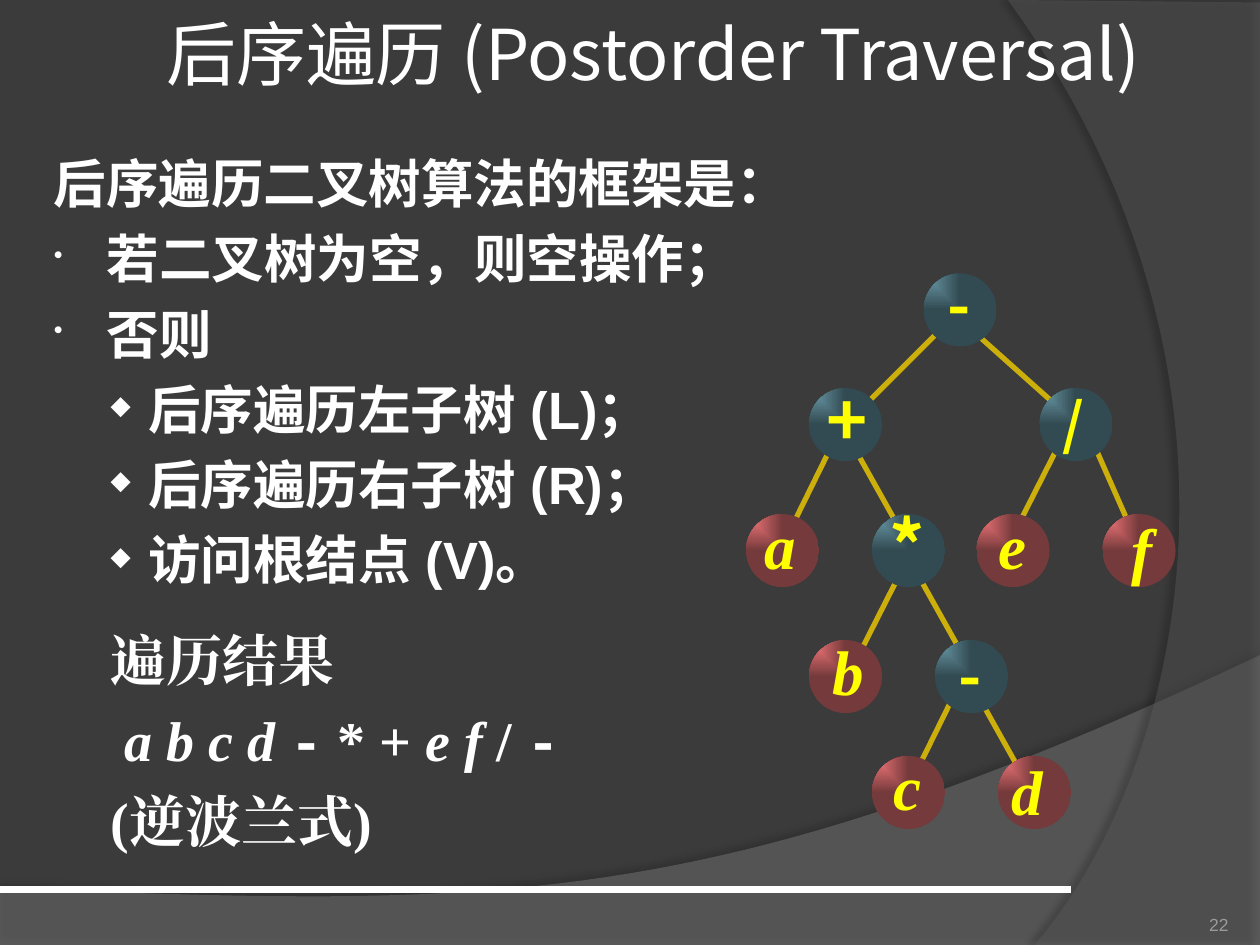
from dataclasses import dataclass

from lxml.etree import SubElement
from pptx import Presentation
from pptx.dml.color import RGBColor
from pptx.enum.shapes import MSO_CONNECTOR as Connector, MSO_SHAPE as Shape
from pptx.enum.text import MSO_ANCHOR as Anchor, PP_ALIGN as Align
from pptx.oxml.ns import qn
from pptx.util import Inches, Pt


@dataclass(frozen=True)
class Theme:
    """Colours, fonts and type sizes of the deck."""
    back: str = "3B3B3B"
    white: str = "FFFFFF"
    sweep: str = "7F7F7F"
    arc: str = "5E5E5E"
    number: str = "9D9B9A"
    edge: str = "CCAF0A"
    symbol: str = "FFFF00"
    operator: tuple = ("6EA0B0", "324A51")
    operand: tuple = ("FF7C80", "753A3B")
    sans: str = "Arial"
    serif: str = "Times New Roman"
    mono: str = "Courier New"
    heading: str = "Noto Sans CJK JP"
    sign: str = "Noto Sans CJK SC"
    title_size: int = 40
    body_size: int = 30
    result_size: int = 32
    number_size: int = 10


THEME = Theme()
FRAMEWORK = [
    ("后序遍历二叉树算法的框架是：", None),
    ("若二叉树为空，则空操作；", "•"),
    ("否则", "•"),
    ("后序遍历左子树 (L)；", "◆"),
    ("后序遍历右子树 (R)；", "◆"),
    ("访问根结点 (V)。", "◆"),
]
RESULT = [
    [("遍历结果", {})],
    [("a b c d ", {"italic": True}), ("-", {"font": THEME.mono}), (" * + ", {}),
     ("e f", {"italic": True}), (" / ", {}), ("-", {"font": THEME.mono})],
    [("(逆波兰式)", {})],
]
NODES = [
    ("-", 1.87, 0.46, -0.01, -0.05, 36),
    ("+", 0.96, 1.37, -0.02, -0.05, 40),
    ("/", 2.79, 1.37, -0.02, -0.02, 32),
    ("a", 0.46, 2.37, -0.02, -0.05, 36),
    ("*", 1.46, 2.37, -0.02, -0.05, 40),
    ("e", 2.29, 2.37, 0, -0.05, 36),
    ("f", 3.29, 2.37, 0.02, -0.02, 36),
    ("b", 0.96, 3.37, 0.02, -0.05, 36),
    ("-", 1.96, 3.37, -0.01, -0.02, 36),
    ("c", 1.46, 4.29, -0.01, -0.06, 36),
    ("d", 2.46, 4.29, -0.06, -0.02, 36),
]
EDGES = [
    (1.75, 0.58, 1.08, 1.25), (1.92, 0.58, 2.67, 1.25),
    (0.83, 1.58, 0.5, 2.25), (1, 1.5, 1.42, 2.25),
    (2.67, 1.5, 2.33, 2.17), (2.92, 1.5, 3.25, 2.25),
    (1.42, 2.5, 1.08, 3.17), (1.5, 2.5, 1.92, 3.25),
    (1.83, 3.5, 1.5, 4.17), (2, 3.5, 2.42, 4.25),
]


def rgb(code):
    """Turn a hex code into a colour."""
    return RGBColor.from_string(code)


def add_text(para, text, *, size, font, color=THEME.white, bold=False, italic=False):
    """Append a formatted run to a paragraph."""
    span = para.add_run()
    span.text = text
    span.font.size, span.font.name = Pt(size), font
    span.font.bold, span.font.italic = bold, italic
    span.font.color.rgb = rgb(color)
    SubElement(span.font._element, qn("a:ea"), typeface=font)


def add_box(page, box, anchor=Anchor.TOP, margin=None, wrap=True):
    """Add a text box and return its frame."""
    frame = page.shapes.add_textbox(*map(Inches, box)).text_frame
    frame.word_wrap, frame.vertical_anchor = wrap, anchor
    if margin is not None:
        frame.margin_left = frame.margin_right = Inches(margin)
        frame.margin_top = frame.margin_bottom = Inches(margin)
    return frame


def add_line(page, ends, color, width):
    """Draw a straight line without shadow."""
    line = page.shapes.add_connector(Connector.STRAIGHT, *map(Inches, ends))
    line.line.color.rgb, line.line.width = rgb(color), Pt(width)
    SubElement(line.element.spPr, qn("a:effectLst"))


def curve(start, first, second, end, steps=48):
    """List points along a cubic curve."""
    return [tuple((1 - t) ** 3 * a + 3 * (1 - t) ** 2 * t * b
                  + 3 * (1 - t) * t * t * c + t ** 3 * d
                  for a, b, c, d in zip(start, first, second, end))
            for t in (step / steps for step in range(steps + 1))]


def add_band(page, points, color, alpha, shade, distance, angle):
    """Draw a translucent outline with a soft shadow."""
    points = [tuple(map(Inches, point)) for point in points]
    builder = page.shapes.build_freeform(*points[0], scale=1.0)
    builder.add_line_segments(points[1:], close=True)
    band = builder.convert_to_shape()
    band.fill.solid()
    band.fill.fore_color.rgb = rgb(color)
    band.line.fill.background()
    tint = band.element.spPr.find(qn("a:solidFill"))[0]
    SubElement(tint, qn("a:alpha"), val=str(alpha * 1000))
    effects = SubElement(band.element.spPr, qn("a:effectLst"))
    shadow = SubElement(effects, qn("a:outerShdw"), blurRad=str(Pt(4)),
                        dist=str(Pt(distance)), dir=str(angle * 60000),
                        algn="ctr", rotWithShape="0")
    black = SubElement(shadow, qn("a:srgbClr"), val="000000")
    SubElement(black, qn("a:alpha"), val=str(shade * 1000))


def add_backdrop(page, box):
    """Fill the page and draw the two bands and the rule."""
    left, top, width, height = box
    right, bottom = left + width, top + height
    page.background.fill.solid()
    page.background.fill.fore_color.rgb = rgb(THEME.back)
    sweep = curve((right, top + 5.2), (left + 5.59, top + 7.29),
                  (left + 3.91, top + 7.19), (left, top + 7.05))
    add_band(page, [(left, bottom), (right, bottom), *sweep],
             THEME.sweep, 45, 35, 3.5, 270)
    arc = curve((left + 8.21, bottom), (left + 9.35, top + 6.19),
                (left + 10.18, top + 3), (left + 8, top))
    add_band(page, [(right, top + 0.02), (right, bottom), *arc],
             THEME.arc, 40, 45, 4, 180)
    add_line(page, (left, top + 7.06, left + 8.5, top + 7.06), THEME.white, 4.5)


def add_title(page, box, text):
    """Place the title in front of the backdrop."""
    title = page.shapes.title
    title.left, title.top, title.width, title.height = map(Inches, box)
    title.element.getparent().append(title.element)
    frame = title.text_frame
    frame.vertical_anchor = Anchor.MIDDLE
    frame.margin_left = frame.margin_right = Inches(0.05)
    frame.paragraphs[0].alignment = Align.CENTER
    add_text(frame.paragraphs[0], text, size=THEME.title_size, font=THEME.heading)


def set_layout(para, margin, indent, bullet=None):
    """Set the indents and the bullet of a paragraph."""
    props = para._p.get_or_add_pPr()
    props.set("marL", str(Inches(margin)))
    props.set("indent", str(Inches(indent)))
    if bullet:
        tint = SubElement(props, qn("a:buClr"))
        SubElement(tint, qn("a:srgbClr"), val=THEME.white)
        SubElement(props, qn("a:buSzPct"), val="50000")
        SubElement(props, qn("a:buChar"), char=bullet)


def add_body(page, box):
    """Write the algorithm steps and the traversal result."""
    frame = add_box(page, box)
    for index, (text, bullet) in enumerate(FRAMEWORK):
        para = frame.add_paragraph() if index else frame.paragraphs[0]
        set_layout(para, *((0.79, -0.3) if bullet == "◆" else (0.46, -0.42)), bullet)
        para.space_before = Pt(7 if index else 0)
        add_text(para, text, size=THEME.body_size, font=THEME.sans, bold=True)
    for index, spans in enumerate(RESULT):
        para = frame.add_paragraph()
        set_layout(para, 0.9 if index == 1 else 0.79, -0.3)
        para.space_before = Pt(7.5 if index else 20)
        for text, style in spans:
            add_text(para, text, **{"size": THEME.result_size, "font": THEME.serif,
                                    "bold": True, **style})


def add_node(page, center, symbol, shift, size):
    """Draw one tree node with its symbol."""
    x, y = center
    leaf = symbol.isalpha()
    disc = page.shapes.add_shape(Shape.OVAL, *map(Inches, (x - 0.29, y - 0.29, 0.58, 0.58)))
    disc.shadow.inherit = False
    disc.line.fill.background()
    disc.fill.gradient()
    for stop, color in zip(disc.fill.gradient_stops, THEME.operand if leaf else THEME.operator):
        stop.color.rgb = rgb(color)
    gradient = disc.element.spPr.find(qn("a:gradFill"))
    gradient.remove(gradient.find(qn("a:lin")))
    focus = SubElement(gradient, qn("a:path"), path="rect")
    SubElement(focus, qn("a:fillToRect"), r="100000", b="100000")
    label = (x + shift[0] - 0.23, y + shift[1] - 0.35, 0.46, 0.7)
    para = add_box(page, label, Anchor.MIDDLE, wrap=False).paragraphs[0]
    para.alignment = Align.CENTER
    add_text(para, symbol, size=size, font=THEME.serif if leaf else THEME.sign,
             color=THEME.symbol, bold=True, italic=leaf)


def add_tree(page, box):
    """Draw the expression tree."""
    left, top = box[:2]
    for x1, y1, x2, y2 in EDGES:
        add_line(page, (left + x1, top + y1, left + x2, top + y2), THEME.edge, 3)
    for symbol, x, y, dx, dy, size in NODES:
        add_node(page, (left + x, top + y), symbol, (dx, dy), size)


def add_number(page, box, text):
    """Write the page number."""
    para = add_box(page, box, Anchor.BOTTOM, margin=0).paragraphs[0]
    para.alignment = Align.RIGHT
    add_text(para, text, size=THEME.number_size, font=THEME.sans, color=THEME.number)


def main():
    """Build and save the deck."""
    deck = Presentation()
    deck.slide_width, deck.slide_height = Inches(10), Inches(7.5)
    page = deck.slides.add_slide(deck.slide_layouts[5])
    add_backdrop(page, (0, 0, 10, 7.5))
    add_title(page, (1.13, 0, 8.11, 0.83), "后序遍历 (Postorder Traversal)")
    add_body(page, (0.29, 1.15, 6.17, 5.83))
    add_number(page, (8.92, 7.02, 0.83, 0.4), "22")
    add_tree(page, (5.75, 2, 3.6, 4.6))
    deck.save("out.pptx")


if __name__ == "__main__":
    main()
